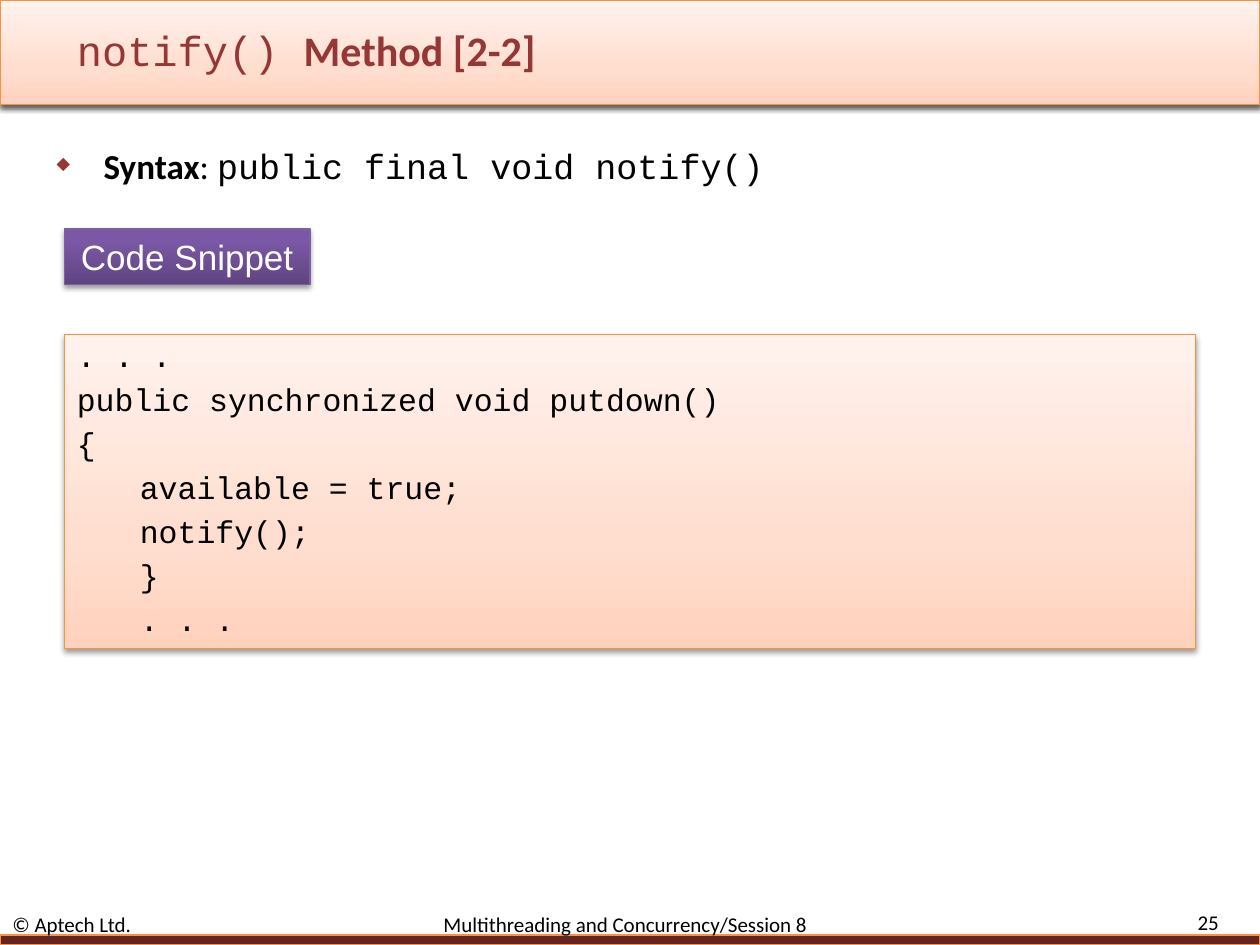
"""Build the notify() method slide with its syntax line and code snippet."""
from dataclasses import dataclass

from lxml import etree
from pptx import Presentation
from pptx import util as u
from pptx.dml.color import RGBColor
from pptx.enum import shapes, text
from pptx.oxml import ns

CODE = [
    (0, ". . ."),
    (0, "public synchronized void putdown()"),
    (0, "{"),
    (1, "available = true;"),
    (1, "notify();"),
    (1, "}"),
    (1, ". . ."),
]


@dataclass(frozen=True)
class Theme:
    """Colours, fonts and type sizes of the slide."""
    peach: tuple = ((0, "FFD2BD"), (35, "FFDED0"), (100, "FFF2ED"))
    purple: tuple = ((0, "5F4480"), (80, "7B58A6"), (100, "7C57A8"))
    orange_line: str = "F69240"
    purple_line: str = "7D60A0"
    maroon: str = "632523"
    title: str = "953735"
    bullet: str = "973735"
    ink: str = "000000"
    white: str = "FFFFFF"
    sans: str = "Calibri"
    label: str = "Arial"
    mono: str = "Courier New"
    title_size: int = 24
    body_size: int = 20
    code_size: int = 18
    footer_size: int = 12


THEME = Theme()


def add_child(parent, tag, **attributes):
    """Append a DrawingML element and return it."""
    return etree.SubElement(parent, ns.qn(f"a:{tag}"), attributes)


def set_font(font, size, color, name=None, bold=None):
    """Set size, colour, typeface and weight of a font."""
    font.size = u.Pt(size)
    font.color.rgb = RGBColor.from_string(color)
    font.name = name
    font.bold = bold


def add_panel(page, left, top, width, height, line, fill, shadow=38):
    """Add a shadowed rectangle with a plain or gradient fill."""
    panel = page.shapes.add_shape(shapes.MSO_SHAPE.RECTANGLE, u.Cm(left), u.Cm(top),
                                  u.Cm(width), u.Cm(height))
    properties = panel._element.spPr
    if isinstance(fill, str):
        panel.fill.solid()
        panel.fill.fore_color.rgb = RGBColor.from_string(fill)
    else:
        panel.fill.gradient()
        panel.fill.gradient_angle = 90
        stops = properties.find(".//" + ns.qn("a:gsLst"))
        for stop in list(stops):
            stops.remove(stop)
        for position, color in fill:
            stop = add_child(stops, "gs", pos=str(position * 1000))
            add_child(stop, "srgbClr", val=color)
    panel.line.color.rgb = RGBColor.from_string(line)
    panel.line.width = u.Pt(0.75)
    panel.shadow.inherit = False
    effects = properties.find(ns.qn("a:effectLst"))
    outer = add_child(effects, "outerShdw", blurRad=str(u.Pt(3.1)), dist=str(u.Pt(1.6)),
                      dir="5400000", rotWithShape="0")
    color = add_child(outer, "srgbClr", val=THEME.ink)
    add_child(color, "alpha", val=str(shadow * 1000))
    return panel


def add_text(page, left, top, width, height, spans, anchor=text.MSO_ANCHOR.MIDDLE):
    """Add a wrapped text box with one paragraph and return that paragraph."""
    box = page.shapes.add_textbox(u.Cm(left), u.Cm(top), u.Cm(width), u.Cm(height))
    frame = box.text_frame
    frame.word_wrap = True
    frame.vertical_anchor = anchor
    para = frame.paragraphs[0]
    for words, name, bold in spans:
        span = para.add_run()
        span.text = words
        span.font.name = name
        span.font.bold = bold
    return para


def add_title(page):
    """Add the title bar and the title."""
    add_panel(page, 0, 0, 25.4, 2.11, THEME.orange_line, THEME.peach, shadow=62)
    para = add_text(page, 1.3, 0.43, 20.5, 1.14, [
        ("notify() ", THEME.mono, False), ("Method [2-2]", THEME.sans, True)])
    set_font(para.font, THEME.title_size, THEME.title)


def add_syntax(page):
    """Add the bulleted syntax line."""
    para = add_text(page, 0.89, 2.78, 23.19, 1.2, [
        ("Syntax", THEME.sans, True), (": ", THEME.sans, False),
        ("public final void notify()", THEME.mono, False)], text.MSO_ANCHOR.TOP)
    properties = para._p.get_or_add_pPr()
    indent = u.Cm(0.95)
    properties.set("marL", str(indent))
    properties.set("indent", str(-indent))
    add_child(add_child(properties, "buClr"), "srgbClr", val=THEME.bullet)
    add_child(properties, "buSzPct", val="50000")
    add_child(properties, "buChar", char="◆")
    set_font(para.font, THEME.body_size, THEME.ink)


def add_label(page):
    """Add the purple label above the code."""
    label = add_panel(page, 1.3, 4.62, 4.95, 1.12, THEME.purple_line, THEME.purple)
    label.text_frame.word_wrap = False
    para = label.text_frame.paragraphs[0]
    para.text = "Code Snippet"
    para.alignment = text.PP_ALIGN.CENTER
    set_font(para.font, THEME.body_size, THEME.white, THEME.label)


def add_code(page):
    """Add the code panel with one paragraph for each line."""
    panel = add_panel(page, 1.3, 6.75, 22.8, 6.33, THEME.orange_line, THEME.peach)
    frame = panel.text_frame
    frame.vertical_anchor = text.MSO_ANCHOR.TOP
    frame.margin_top = u.Cm(0.23)
    for index, (level, line) in enumerate(CODE):
        para = frame.add_paragraph() if index else frame.paragraphs[0]
        para.text = line
        para.alignment = text.PP_ALIGN.LEFT
        para.line_spacing = 0.7
        para.space_before = u.Pt(10 if index else 0)
        para.level = level
        para._p.get_or_add_pPr().set("marL", str(u.Cm(1.27 * level)))
        set_font(para.font, THEME.code_size, THEME.ink, THEME.mono)


def add_footer(page):
    """Add the bottom bar, the footer line and the page number."""
    add_panel(page, 0, 18.85, 25.4, 0.2, THEME.orange_line, THEME.maroon, shadow=35)
    footer = add_text(page, 0, 18.4, 22.43, 0.44, [
        ("© Aptech Ltd.\tMultithreading and Concurrency/Session 8", THEME.sans, False)])
    tabs = add_child(footer._p.get_or_add_pPr(), "tabLst")
    add_child(tabs, "tab", pos=str(u.Cm(8.69)), algn="l")
    number = add_text(page, 22.66, 18.36, 2.16, 0.46, [("25", THEME.sans, False)])
    number.alignment = text.PP_ALIGN.RIGHT
    for para in (footer, number):
        set_font(para.font, THEME.footer_size, THEME.ink, THEME.sans)


def main():
    """Build and save the deck."""
    deck = Presentation()
    deck.slide_width, deck.slide_height = u.Cm(25.4), u.Cm(19.05)
    page = deck.slides.add_slide(deck.slide_layouts[6])
    add_title(page)
    add_footer(page)
    add_syntax(page)
    add_label(page)
    add_code(page)
    deck.save("out.pptx")


if __name__ == "__main__":
    main()
